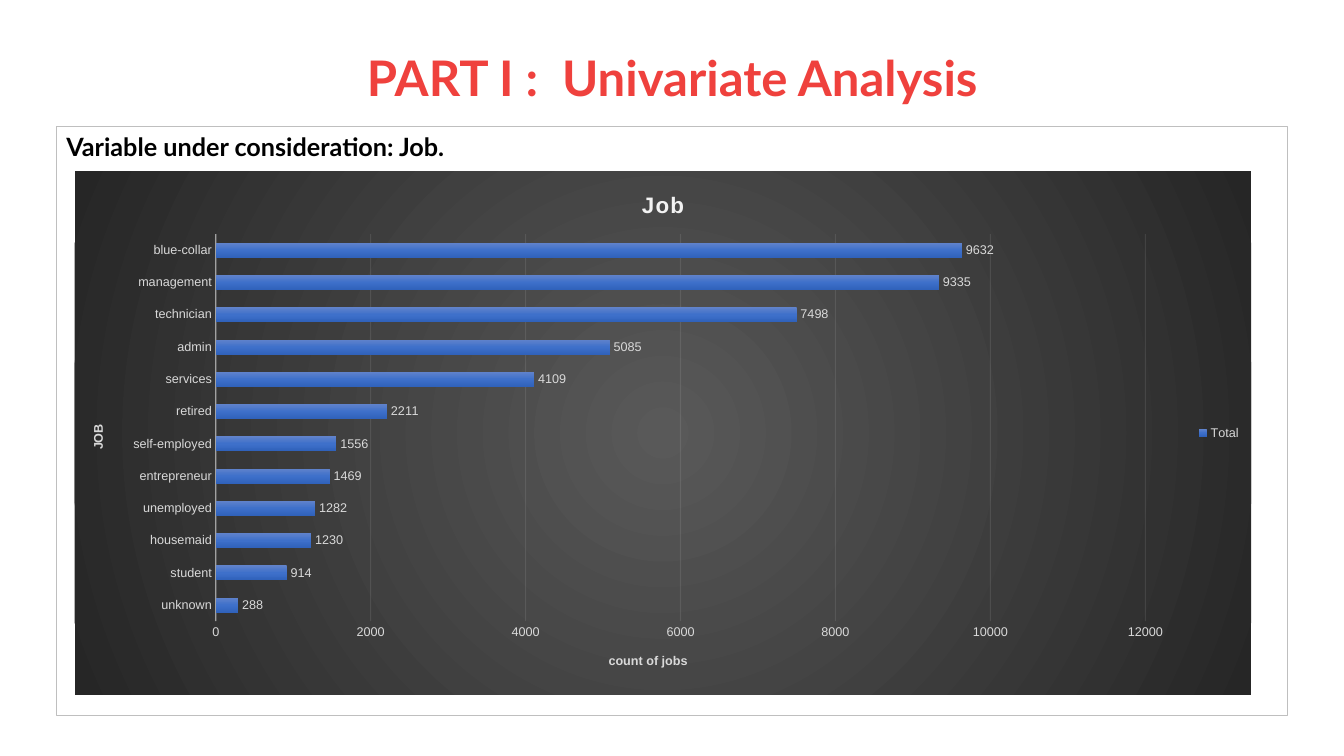
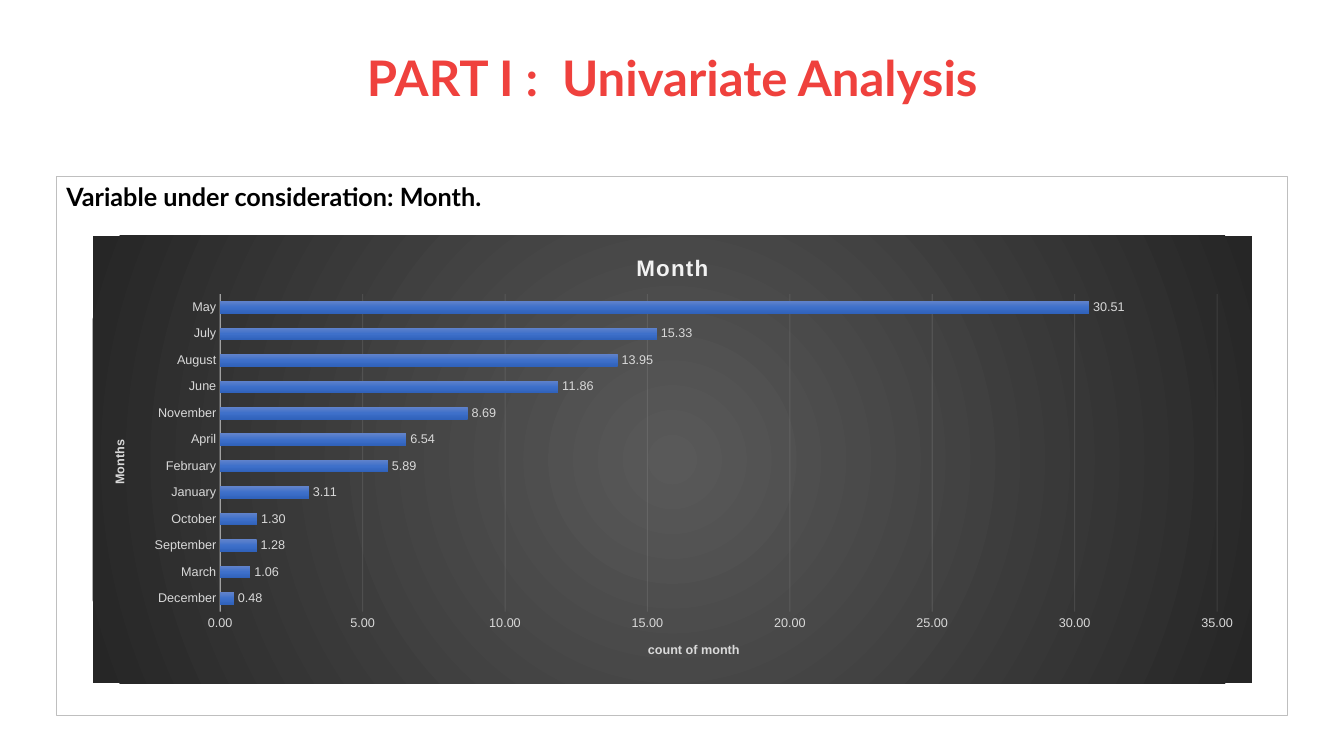
from lxml import etree
from pptx import Presentation
from pptx.chart.data import CategoryChartData
from pptx.dml.color import RGBColor
from pptx.enum.chart import XL_CHART_TYPE, XL_LABEL_POSITION, XL_LEGEND_POSITION, XL_TICK_MARK
from pptx.enum.shapes import MSO_SHAPE
from pptx.enum.text import MSO_ANCHOR, MSO_AUTO_SIZE, PP_ALIGN
from pptx.oxml import parse_xml
from pptx.oxml.ns import nsdecls, qn
from pptx.util import Inches, Pt

BAR_CLUSTERED = XL_CHART_TYPE.BAR_CLUSTERED
OUTSIDE_END = XL_LABEL_POSITION.OUTSIDE_END
LEGEND_RIGHT = XL_LEGEND_POSITION.RIGHT
NO_TICK = XL_TICK_MARK.NONE
RECTANGLE = MSO_SHAPE.RECTANGLE
TOP = MSO_ANCHOR.TOP
NO_FIT = MSO_AUTO_SIZE.NONE
LEFT, CENTER = PP_ALIGN.LEFT, PP_ALIGN.CENTER

RED = RGBColor(0xEF, 0x41, 0x3D)
BLACK = RGBColor(0x00, 0x00, 0x00)
FRAME_GREY = RGBColor(0xBF, 0xBF, 0xBF)
LABEL_GREY = RGBColor(0xD9, 0xD9, 0xD9)
PALE = RGBColor(0xF2, 0xF2, 0xF2)
BAR_STOPS = [(0, RGBColor(0x61, 0x83, 0xCB)), (50, RGBColor(0x3E, 0x70, 0xCA)),
             (100, RGBColor(0x30, 0x62, 0xBB))]
BACK_STOPS = [(0, RGBColor(0x59, 0x59, 0x59)), (100, RGBColor(0x26, 0x26, 0x26))]
LINEAR = '<a:lin ang="5400000" scaled="0"/>'
RADIAL = '<a:path path="circle"><a:fillToRect l="50000" t="50000" r="50000" b="50000"/></a:path>'

TEXT_FONT, CHART_FONT = "Lato", "Arial"
WIDTH, HEIGHT = Inches(13.33), Inches(7.5)
FRAME_BOTTOM = 94.67

JOBS = {
    "unknown": 288, "student": 914, "housemaid": 1230, "unemployed": 1282,
    "entrepreneur": 1469, "self-employed": 1556, "retired": 2211, "services": 4109,
    "admin": 5085, "technician": 7498, "management": 9335, "blue-collar": 9632,
}
MONTHS = {
    "December": 0.48, "March": 1.06, "September": 1.28, "October": 1.3,
    "January": 3.11, "February": 5.89, "April": 6.54, "November": 8.69,
    "June": 11.86, "August": 13.95, "July": 15.33, "May": 30.51,
}


def share(x, y, w, h):
    """Turn percentages of the slide's width and height into lengths."""
    return [int(full * part / 100)
            for full, part in zip((WIDTH, HEIGHT, WIDTH, HEIGHT), (x, y, w, h))]


def style_font(font, size, color, name=CHART_FONT, bold=False):
    font.size, font.name, font.bold = Pt(size), name, bold
    font.color.rgb = color


def add_run(p, text, size, color, name=CHART_FONT, bold=True):
    r = p.add_run()
    r.text = text
    style_font(r.font, size, color, name, bold)
    return r


def gradient(stops, direction):
    marks = "".join(f'<a:gs pos="{pos * 1000}"><a:srgbClr val="{color}"/></a:gs>'
                    for pos, color in stops)
    return parse_xml(f'<a:gradFill {nsdecls("a")} rotWithShape="1">'
                     f'<a:gsLst>{marks}</a:gsLst>{direction}</a:gradFill>')


def fade(element, opacity):
    for color in element.iter(qn("a:srgbClr")):
        etree.SubElement(color, qn("a:alpha"), val=str(opacity * 1000))


def add_title(s):
    sp = s.shapes.title
    sp.left, sp.top, sp.width, sp.height = share(6.9, 5.33, 86.25, 19.33)
    tf = sp.text_frame
    tf.auto_size, tf.vertical_anchor = NO_FIT, TOP
    tf.margin_top = Inches(0.14)
    p = tf.paragraphs[0]
    p.alignment, p.line_spacing = CENTER, 0.9
    add_run(p, "PART I :  Univariate Analysis", 35, RED, TEXT_FONT)


def add_frame(s, variable, top):
    sp = s.shapes.add_shape(RECTANGLE, *share(4.2, top, 91.6, FRAME_BOTTOM - top))
    sp.shadow.inherit = False
    sp.fill.background()
    sp.line.color.rgb, sp.line.width = FRAME_GREY, Pt(0.75)
    tf = sp.text_frame
    tf.word_wrap, tf.vertical_anchor = True, TOP
    p = tf.paragraphs[0]
    p.alignment = LEFT
    add_run(p, f"Variable under consideration: {variable}.", 18, BLACK, TEXT_FONT)


def style_axis(axis, title):
    axis.major_tick_mark = axis.minor_tick_mark = NO_TICK
    style_font(axis.tick_labels.font, 9, LABEL_GREY)
    add_run(axis.axis_title.text_frame.paragraphs[0], title, 9, LABEL_GREY)


def style_axes(chart, category_title, value_title, top_value, step, number_format):
    categories, values = chart.category_axis, chart.value_axis
    categories.has_major_gridlines = False
    line = categories.format.line
    line.color.rgb, line.width = PALE, Pt(1)
    fade(categories._element.find(qn("c:spPr")), 54)
    style_axis(categories, category_title)

    values.minimum_scale, values.maximum_scale, values.major_unit = 0, top_value, step
    values.format.line.fill.background()
    grid = values.major_gridlines.format.line
    grid.color.rgb, grid.width = PALE, Pt(0.75)
    fade(values._element.find(qn("c:majorGridlines")), 10)
    style_axis(values, value_title)
    values.tick_labels.number_format = number_format
    values.tick_labels.number_format_is_linked = False


def fill_chart(chart):
    """Give the bars a linear gradient and the chart a radial one."""
    chart.plots[0].series[0].format.fill.gradient()
    bar_fill = next(chart.element.iter(qn("a:gradFill")))
    bar_fill.getparent().replace(bar_fill, gradient(BAR_STOPS, LINEAR))
    back = parse_xml(f'<c:spPr {nsdecls("c", "a")}><a:ln><a:noFill/></a:ln></c:spPr>')
    back.insert(0, gradient(BACK_STOPS, RADIAL))
    chart.element.find(qn("c:chart")).addnext(back)


def place_plot(chart, x, y, w, h):
    """Fix the inner plot area, in shares of the chart's size."""
    area = next(chart.element.iter(qn("c:plotArea")))
    for old in area.findall(qn("c:layout")):
        area.remove(old)
    sizes = "".join(f'<c:{tag} val="{val}"/>' for tag, val in zip("xywh", (x, y, w, h)))
    area.insert(0, parse_xml(
        f'<c:layout {nsdecls("c")}><c:manualLayout><c:layoutTarget val="inner"/>'
        f'<c:xMode val="edge"/><c:yMode val="edge"/>{sizes}</c:manualLayout></c:layout>'))


def add_bar_chart(s, box, title, series_name, counts, axes, plot_box, number_format, legend):
    data = CategoryChartData(number_format=number_format)
    data.categories = list(counts)
    data.add_series(series_name, list(counts.values()))
    chart = s.shapes.add_chart(BAR_CLUSTERED, *share(*box), data).chart
    style_font(chart.font, 10, BLACK)

    chart.has_title = True
    r = add_run(chart.chart_title.text_frame.paragraphs[0], title, 16, PALE)
    r.font._element.set("spc", "100")

    plot = chart.plots[0]
    plot.gap_width, plot.overlap, plot.vary_by_categories = 115, -20, False
    plot.has_data_labels = True
    labels = plot.data_labels
    labels.show_value, labels.position = True, OUTSIDE_END
    labels.number_format, labels.number_format_is_linked = number_format, False
    style_font(labels.font, 9, LABEL_GREY)

    style_axes(chart, *axes, number_format)
    fill_chart(chart)
    place_plot(chart, *plot_box)
    chart.has_legend = legend
    if legend:
        chart.legend.position, chart.legend.include_in_layout = LEGEND_RIGHT, False
        style_font(chart.legend.font, 9, LABEL_GREY)


def add_analysis(prs, variable, frame_top, **chart):
    s = prs.slides.add_slide(prs.slide_layouts[5])
    add_title(s)
    add_frame(s, variable, frame_top)
    add_bar_chart(s, title=variable, **chart)


def main():
    prs = Presentation()
    prs.slide_width, prs.slide_height = WIDTH, HEIGHT
    add_analysis(prs, "Job", 16.67, box=(5.55, 22.67, 87.55, 69.2),
                 series_name="Total", counts=JOBS,
                 axes=("JOB", "count of jobs", 12000, 2000),
                 plot_box=(0.12, 0.12, 0.79, 0.74), number_format="General", legend=True)
    add_analysis(prs, "Month", 23.33, box=(6.9, 31.2, 86.25, 59.2),
                 series_name="Series 1", counts=MONTHS,
                 axes=("Months", "count of month", 35, 5),
                 plot_box=(0.11, 0.13, 0.86, 0.71), number_format="0.00", legend=False)
    prs.save("out.pptx")


if __name__ == "__main__":
    main()
